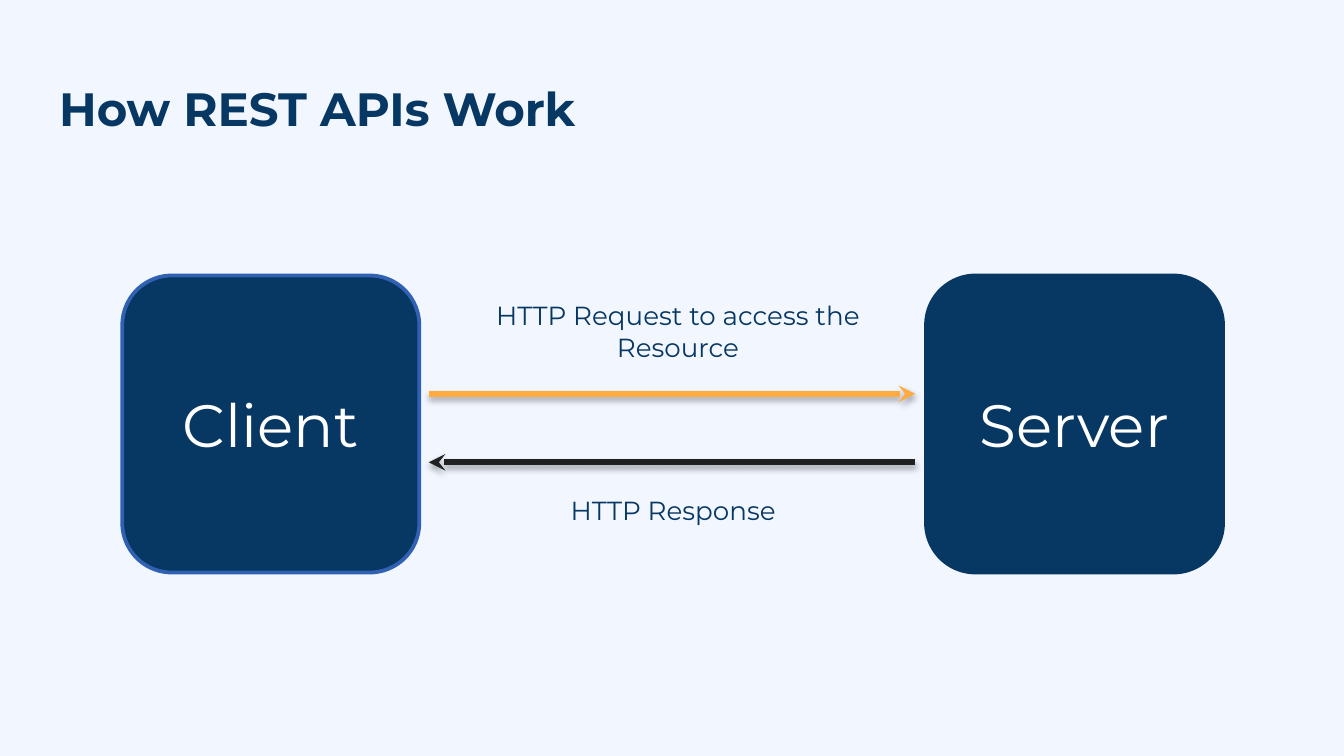
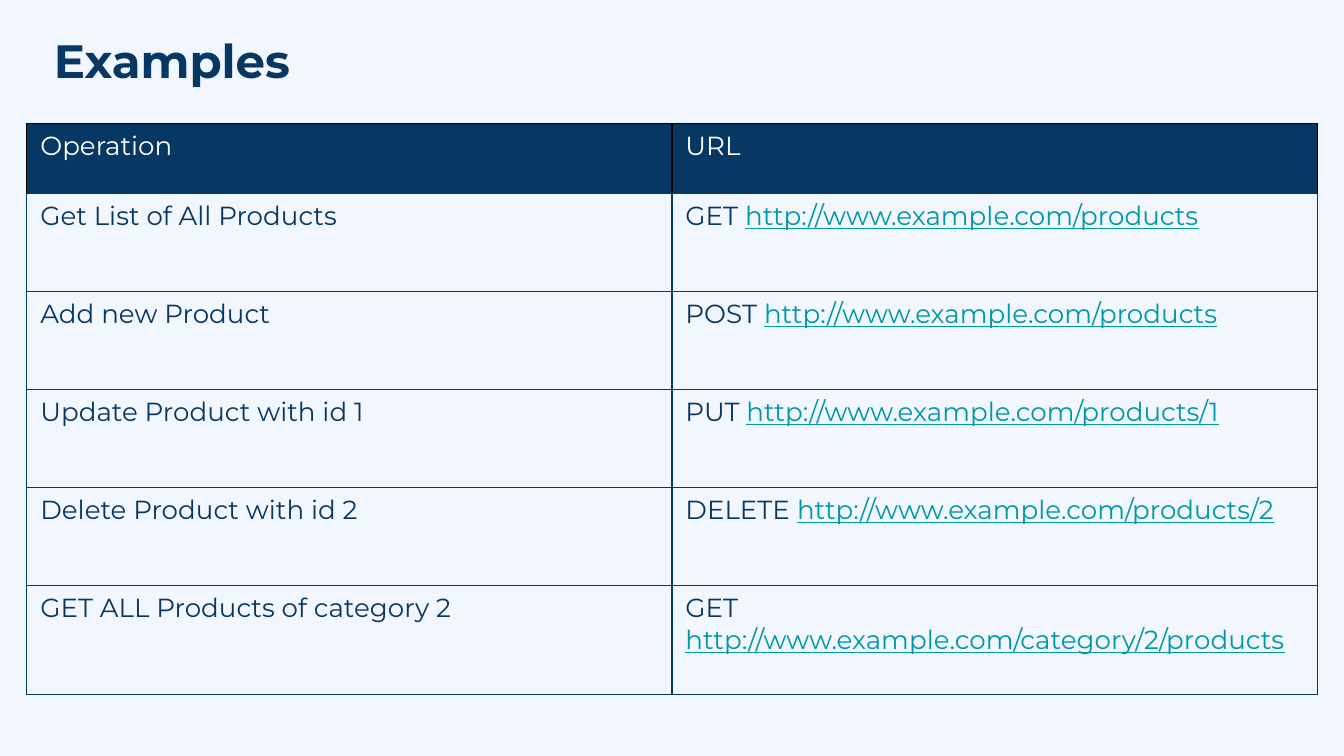
from lxml.etree import SubElement
from pptx import Presentation
from pptx.dml.color import RGBColor
from pptx.enum.shapes import MSO_CONNECTOR, MSO_SHAPE
from pptx.enum.text import MSO_ANCHOR, MSO_AUTO_SIZE, PP_ALIGN
from pptx.oxml import parse_xml
from pptx.oxml.ns import nsdecls, qn
from pptx.util import Inches, Pt

PALE = RGBColor(0xF2, 0xF6, 0xFF)
NAVY = RGBColor(0x07, 0x37, 0x63)
BLUE = RGBColor(0x30, 0x61, 0xB2)
ORANGE = RGBColor(0xFF, 0xAB, 0x40)
CHARCOAL = RGBColor(0x21, 0x21, 0x21)
TEAL = RGBColor(0x00, 0x97, 0xA7)
WHITE = RGBColor(0xFF, 0xFF, 0xFF)
BLACK = RGBColor(0x00, 0x00, 0x00)
FONT = "Montserrat"


def write(para, text, size=14, color=NAVY, bold=False, underline=False, align=PP_ALIGN.LEFT):
    para.alignment = align
    span = para.add_run()
    span.text = text
    span.font.name = FONT
    span.font.size = Pt(size)
    span.font.color.rgb = color
    span.font.bold = bold
    span.font.underline = underline


def add_titled_page(deck, title, left, top):
    page = deck.slides.add_slide(deck.slide_layouts[5])
    box = page.shapes.title
    box.left, box.top = Inches(left), Inches(top)
    box.width, box.height = Inches(9.32), Inches(0.63)
    frame = box.text_frame
    frame.auto_size = MSO_AUTO_SIZE.NONE
    frame.vertical_anchor = MSO_ANCHOR.MIDDLE
    frame.margin_left = frame.margin_right = Inches(0.1)
    frame.margin_top = frame.margin_bottom = Inches(0.1)
    write(frame.paragraphs[0], title, size=25, bold=True)
    return page


# A 16:9 deck
deck = Presentation()
deck.slide_width = Inches(10)
deck.slide_height = deck.slide_width * 9 // 16
background = deck.slide_master.background.fill
background.solid()
background.fore_color.rgb = PALE

# Slide 1: client and server
page = add_titled_page(deck, "How REST APIs Work", 0.34, 0.49)
for name, left, outline in [("Client", 0.91, BLUE), ("Server", 6.89, NAVY)]:
    box = page.shapes.add_shape(MSO_SHAPE.ROUNDED_RECTANGLE, Inches(left), Inches(2.05),
                                Inches(2.21), Inches(2.21))
    box.shadow.inherit = False
    box.fill.solid()
    box.fill.fore_color.rgb = NAVY
    box.line.color.rgb = outline
    box.line.width = Pt(2)
    box.text_frame.vertical_anchor = MSO_ANCHOR.MIDDLE
    write(box.text_frame.paragraphs[0], name, size=32, color=WHITE, align=PP_ALIGN.CENTER)

# Request and response arrows
for start, end, y, color in [(3.19, 6.81, 2.93, ORANGE), (6.81, 3.19, 3.44, CHARCOAL)]:
    arrow = page.shapes.add_connector(MSO_CONNECTOR.STRAIGHT, Inches(start), Inches(y),
                                      Inches(end), Inches(y))
    arrow.line.color.rgb = color
    arrow.line.width = Pt(3)
    properties = arrow.element.spPr
    SubElement(properties.find(qn("a:ln")), qn("a:tailEnd"), type="stealth")
    properties.append(parse_xml(
        f'<a:effectLst {nsdecls("a")}>'
        f'<a:outerShdw blurRad="{Pt(3.1)}" dist="{Pt(1.8)}" dir="5400000" rotWithShape="0">'
        f'<a:srgbClr val="{BLACK}"><a:alpha val="35000"/></a:srgbClr>'
        '</a:outerShdw></a:effectLst>'))

# Arrow labels
for text, left, top, width, height in [
    ("HTTP Request to access the Resource", 3.39, 2.18, 3.31, 0.57),
    ("HTTP Response ", 3.58, 3.63, 2.91, 0.34),
]:
    box = page.shapes.add_textbox(Inches(left), Inches(top), Inches(width), Inches(height))
    box.text_frame.word_wrap = True
    box.text_frame.auto_size = MSO_AUTO_SIZE.SHAPE_TO_FIT_TEXT
    write(box.text_frame.paragraphs[0], text, align=PP_ALIGN.CENTER)

# Slide 2: operations and their URLs
page = add_titled_page(deck, "Examples", 0.3, 0.13)
SITE = "http://www.example.com/"
rows = [
    ("Operation", "URL", ""),
    ("Get List of All Products", "GET ", "products"),
    ("Add new Product", "POST ", "products"),
    ("Update Product with id 1", "PUT ", "products/1"),
    ("Delete Product with id 2", "DELETE ", "products/2"),
    ("GET ALL Products of category 2", "GET ", "category/2/products"),
]
heights = [0.52, 0.73, 0.73, 0.73, 0.73, 0.81]
table = page.shapes.add_table(len(rows), 2, Inches(0.2), Inches(0.92),
                              Inches(9.6), Inches(sum(heights))).table
for column in table.columns:
    column.width = Inches(4.8)

for r, (operation, method, resource) in enumerate(rows):
    table.rows[r].height = Inches(heights[r])
    header = r == 0
    for c, text in enumerate((operation, method)):
        cell = table.cell(r, c)
        para = cell.text_frame.paragraphs[0]
        write(para, text, color=WHITE if header else NAVY)
        if c == 1 and resource:
            write(para, SITE + resource, color=TEAL, underline=True)
        if header:
            cell.fill.solid()
            cell.fill.fore_color.rgb = NAVY
        else:
            cell.fill.background()
        # Borders come before the fill
        for i, side in enumerate(("lnL", "lnR", "lnT", "lnB")):
            color = BLACK if header and side != "lnB" else NAVY
            cell._tc.get_or_add_tcPr().insert(i, parse_xml(
                f'<a:{side} {nsdecls("a")} w="{Pt(0.75)}"><a:solidFill>'
                f'<a:srgbClr val="{color}"/></a:solidFill></a:{side}>'))

deck.save("out.pptx")
